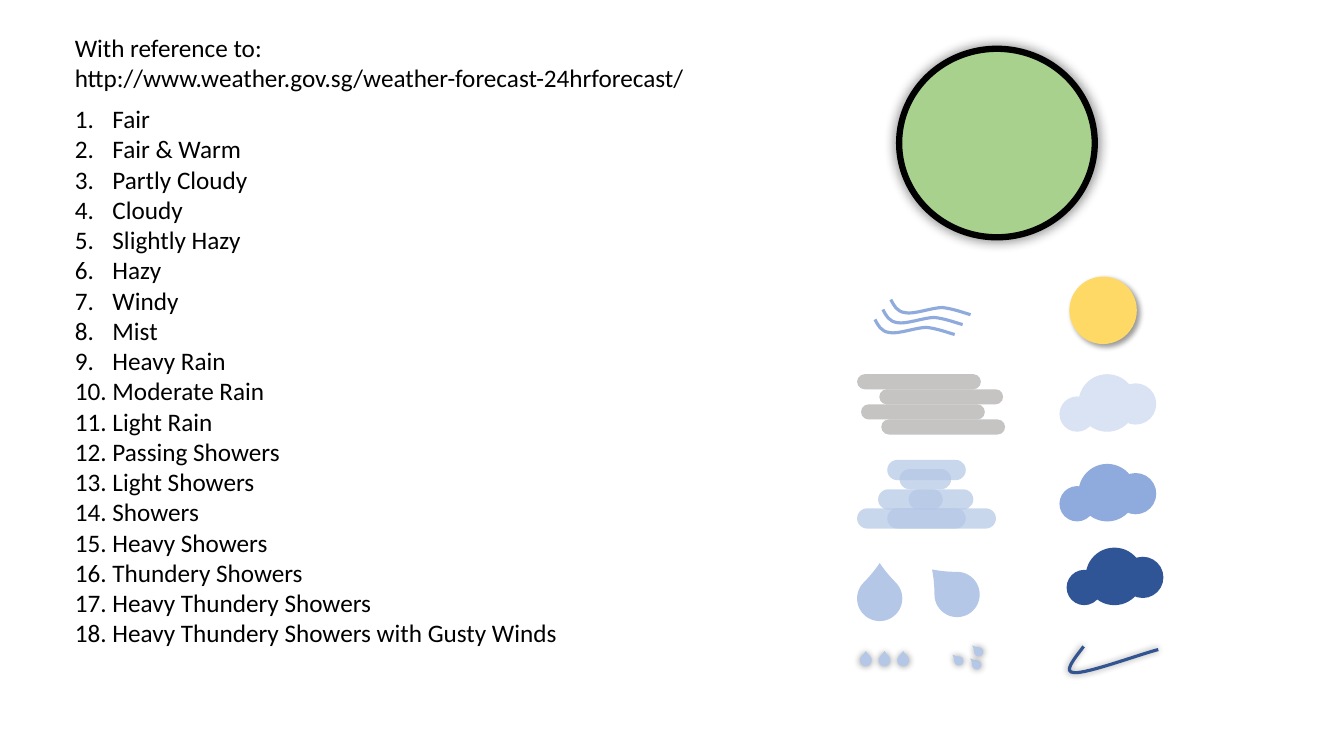
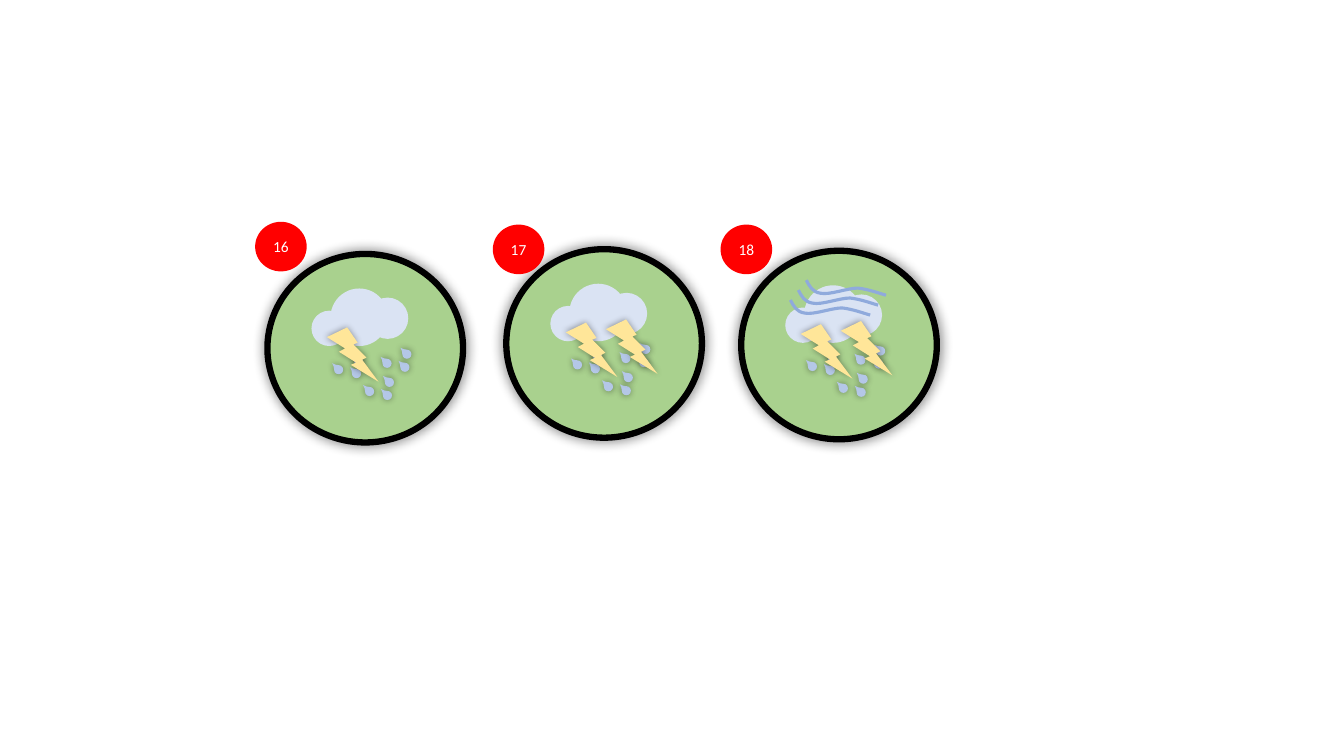
from pptx import Presentation
from pptx.dml.color import RGBColor
from pptx.enum.shapes import MSO_SHAPE as Preset
from pptx.enum.text import MSO_ANCHOR as Anchor, MSO_AUTO_SIZE as AutoSize, PP_ALIGN as Align
from pptx.oxml.ns import qn
from pptx.util import Cm, Pt
from lxml.etree import SubElement

BLACK = RGBColor(0x00, 0x00, 0x00)
WHITE = RGBColor(0xFF, 0xFF, 0xFF)
RED = RGBColor(0xFF, 0x00, 0x00)
GREEN = RGBColor(0xA9, 0xD1, 0x8E)
SUN = RGBColor(0xFF, 0xD9, 0x66)
BOLT = RGBColor(0xFF, 0xE6, 0x99)
HAZE = RGBColor(0xAF, 0xAB, 0xAB)
WATER = RGBColor(0xB4, 0xC7, 0xE7)
PALE_CLOUD = RGBColor(0xDA, 0xE3, 0xF3)
BLUE = RGBColor(0x8F, 0xAA, 0xDC)
DARK_CLOUD = RGBColor(0x2F, 0x55, 0x97)
TICK = RGBColor(0x32, 0x54, 0x91)
FONT = "Calibri"

REFERENCE = ["With reference to: ", "http://www.weather.gov.sg/weather-forecast-24hrforecast/"]
FORECASTS = [
    "Fair", "Fair & Warm", "Partly Cloudy", "Cloudy", "Slightly Hazy", "Hazy",
    "Windy", "Mist", "Heavy Rain", "Moderate Rain", "Light Rain", "Passing Showers",
    "Light Showers", "Showers", "Heavy Showers", "Thundery Showers",
    "Heavy Thundery Showers", "Heavy Thundery Showers with Gusty Winds",
]
STRAND = [(0, 0), (0.08, 0.15), (0.15, 0.3), (0.36, 0.33), (0.58, 0.38),
          (1.04, 0.2), (1.3, 0.2), (1.57, 0.23), (1.83, 0.33), (2.01, 0.38)]
TICK_CURVE = [(0, 0), (-0.25, 0.33), (-0.53, 0.66), (-0.23, 0.66),
              (0.08, 0.69), (1.47, 0.18), (1.88, 0.08)]


def add_shadow(shape, blur, distance=0, angle=0, scale=100):
    effects = shape._element.spPr.find(qn("a:effectLst"))
    shadow = SubElement(effects, qn("a:outerShdw"), blurRad=str(Pt(blur)),
                        dist=str(Pt(distance)), dir=str(angle * 60000),
                        sx=str(scale * 1000), sy=str(scale * 1000),
                        algn="ctr", rotWithShape="0")
    color = SubElement(shadow, qn("a:srgbClr"), val=str(BLACK))
    SubElement(color, qn("a:alpha"), val="40000")


def add_filled(shapes, preset, left, top, width, height, color):
    shape = shapes.add_shape(preset, Cm(left), Cm(top), Cm(width), Cm(height))
    shape.shadow.inherit = False
    shape.fill.solid()
    shape.fill.fore_color.rgb = color
    shape.line.fill.background()
    return shape


def add_bar(shapes, left, top, width, height, color):
    bar = add_filled(shapes, Preset.ROUNDED_RECTANGLE, left, top, width, height, color)
    bar.adjustments[0] = 0.5
    fill = bar._element.spPr.find(qn("a:solidFill"))
    SubElement(fill[0], qn("a:alpha"), val="71000")


def add_drop(shapes, left, top, size, rotation, tip=1.106):
    drop = add_filled(shapes, Preset.TEAR, left, top, size, size, WATER)
    drop.adjustments[0] = tip
    drop.rotation = rotation
    return drop


def bend_segments(curve):
    outline = next(curve._element.iter(qn("a:pathLst")))[0]
    straights = outline.findall(qn("a:lnTo"))
    for start in range(0, len(straights), 3):
        bend = SubElement(outline, qn("a:cubicBezTo"))
        for straight in straights[start:start + 3]:
            bend.append(straight[0])
            outline.remove(straight)


def add_curve(shapes, left, top, controls, color):
    points = [(Cm(left + x), Cm(top + y)) for x, y in controls]
    builder = shapes.build_freeform(*points[0])
    builder.add_line_segments(points[1:], close=False)
    curve = builder.convert_to_shape()
    bend_segments(curve)
    curve.shadow.inherit = False
    curve.fill.background()
    curve.line.color.rgb = color
    curve.line.width = Pt(2.25)
    return curve


def add_face(shapes, left, top):
    face = add_filled(shapes, Preset.OVAL, left, top, 4.93, 4.75, GREEN)
    face.line.color.rgb = BLACK
    face.line.width = Pt(4.5)
    add_shadow(face, 8, scale=102)


def add_cloud(shapes, left, top, color):
    for dx, dy, size in ((0, 0.56, 0.89), (1.4, 0.23, 1.04), (0.48, 0, 1.45)):
        add_filled(shapes, Preset.OVAL, left + dx, top + dy, size, size, color)


def add_wind(shapes, left, top):
    for dx, dy in ((0.2, 0.25), (0.4, 0), (0, 0.5)):
        add_curve(shapes, left + dx, top + dy, STRAND, BLUE)


def add_haze(shapes, left, top):
    for row, dx in enumerate((0, 0.56, 0.1, 0.61)):
        add_bar(shapes, left + dx, top + row * 0.38, 3.12, 0.38, HAZE)


def add_mist(shapes, left, top):
    for dx, dy, width in ((0, 1.22, 2.74), (1.07, 0.23, 1.3), (0.53, 0.74, 1.63),
                          (0.76, 1.22, 2.74), (0.76, 0, 1.98), (1.3, 0.74, 1.63)):
        add_bar(shapes, left + dx, top + dy, width, 0.51, WATER)


def add_drizzle(shapes, left, top):
    for column in range(3):
        add_shadow(add_drop(shapes, left + column * 0.47, top, 0.3, 315), 5)


def add_slanted_rain(shapes, left, top):
    for dx, dy in ((0, 0.23), (0.45, 0.33), (0.5, 0)):
        add_shadow(add_drop(shapes, left + dx, top + dy, 0.23, 270, 1.406), 5)


def add_storm(page, left, top, bolts, windy):
    storm = page.shapes.add_group_shape().shapes
    add_face(storm, left, top)
    add_cloud(storm, left + 1.11, top + 0.87, PALE_CLOUD)
    for dx, dy in ((2.9, 2.41), (1.68, 2.57), (2.46, 3.12)):
        add_slanted_rain(storm, left + dx, top + dy)
    for dx, dy in ((1.5, 1.85), (2.51, 1.77))[:bolts]:
        bolt = add_filled(storm, Preset.LIGHTNING_BOLT, left + dx, top + dy, 1.3, 1.37, BOLT)
        add_shadow(bolt, 5)
    if windy:
        add_wind(storm, left + 1.24, top + 0.74)


def add_span(para, text, size, color):
    span = para.add_run()
    span.text = text
    span.font.name = FONT
    span.font.size = Pt(size)
    span.font.color.rgb = color


def add_badge(shapes, left, top, number):
    badge = add_filled(shapes, Preset.OVAL, left, top, 1.3, 1.25, RED)
    badge.text_frame.vertical_anchor = Anchor.MIDDLE
    para = badge.text_frame.paragraphs[0]
    para.alignment = Align.CENTER
    add_span(para, str(number), 11, WHITE)


def fill_placeholder(holder, left, top, width, height, lines, numbered=False):
    holder.left, holder.top, holder.width, holder.height = map(Cm, (left, top, width, height))
    frame = holder.text_frame
    frame.auto_size = AutoSize.NONE
    frame.word_wrap = True
    frame.vertical_anchor = Anchor.TOP
    for index, line in enumerate(lines):
        para = frame.add_paragraph() if index else frame.paragraphs[0]
        para.alignment = Align.LEFT
        para.space_before = Pt(0)
        if numbered:
            properties = para._p.get_or_add_pPr()
            properties.set("marL", str(Cm(0.95)))
            properties.set("indent", str(Cm(-0.95)))
            SubElement(properties, qn("a:buFont"), typeface="+mj-lt")
            SubElement(properties, qn("a:buAutoNum"), type="arabicPeriod")
        add_span(para, line, 18, BLACK)


def add_symbols(shapes, left, top):
    def group():
        return shapes.add_group_shape().shapes

    add_face(shapes, left + 1.06, top)
    for dx, dy, color in ((5.1, 8.2, PALE_CLOUD), (5.1, 10.46, BLUE), (5.28, 12.57, DARK_CLOUD)):
        add_cloud(group(), left + dx, top + dy, color)
    sun = add_filled(shapes, Preset.OVAL, left + 5.35, top + 5.74, 1.7, 1.7, SUN)
    add_shadow(sun, 4, 3, 45)
    add_haze(group(), left, top + 8.2)
    add_wind(group(), left + 0.45, top + 6.32)
    add_mist(group(), left, top + 10.36)
    add_drop(shapes, left, top + 13.28, 1.14, 315)
    add_drop(shapes, left + 1.95, top + 13.18, 1.14, 270)
    add_drizzle(group(), left + 0.07, top + 15.26)
    add_slanted_rain(group(), left + 2.45, top + 15.08)
    add_shadow(add_curve(shapes, left + 5.71, top + 15.06, TICK_CURVE, TICK), 5)


def build_legend(deck):
    page = deck.slides.add_slide(deck.slide_layouts[1])
    title, body = page.placeholders
    fill_placeholder(body, 1.63, 2.48, 16.94, 14.1, FORECASTS, numbered=True)
    add_symbols(page.shapes, 21.6, 1.23)
    fill_placeholder(title, 1.63, 0.68, 16.08, 1.8, REFERENCE)


def build_storms(deck):
    page = deck.slides.add_slide(deck.slide_layouts[6])
    add_storm(page, 6.74, 6.4, bolts=1, windy=False)
    add_storm(page, 12.76, 6.28, bolts=2, windy=False)
    add_storm(page, 18.68, 6.32, bolts=2, windy=True)
    for number, left, top in ((16, 6.43, 5.59), (17, 12.42, 5.66), (18, 18.16, 5.66)):
        add_badge(page.shapes, left, top, number)


deck = Presentation()
deck.slide_width, deck.slide_height = Cm(33.87), Cm(19.05)
build_legend(deck)
build_storms(deck)
deck.save("out.pptx")
